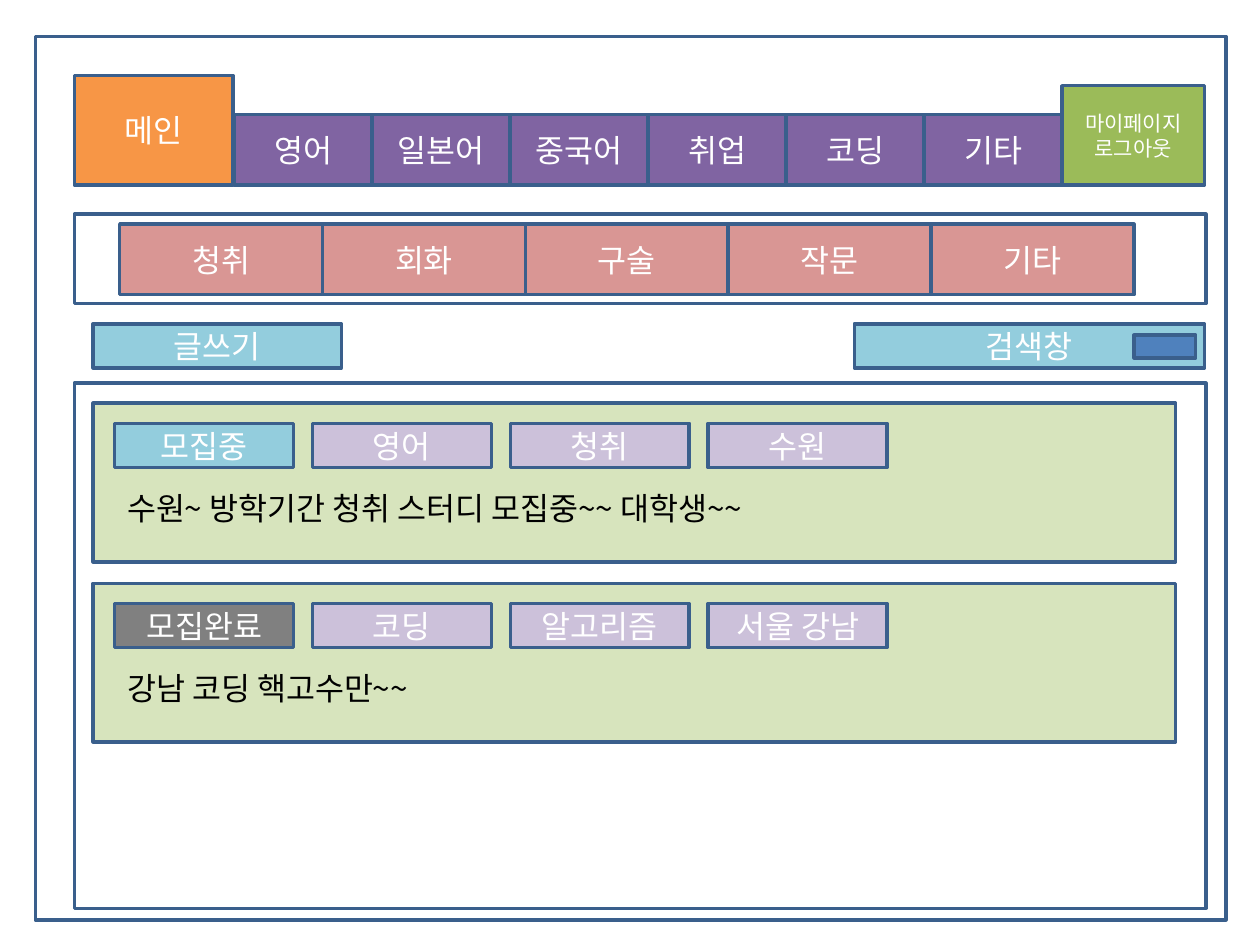
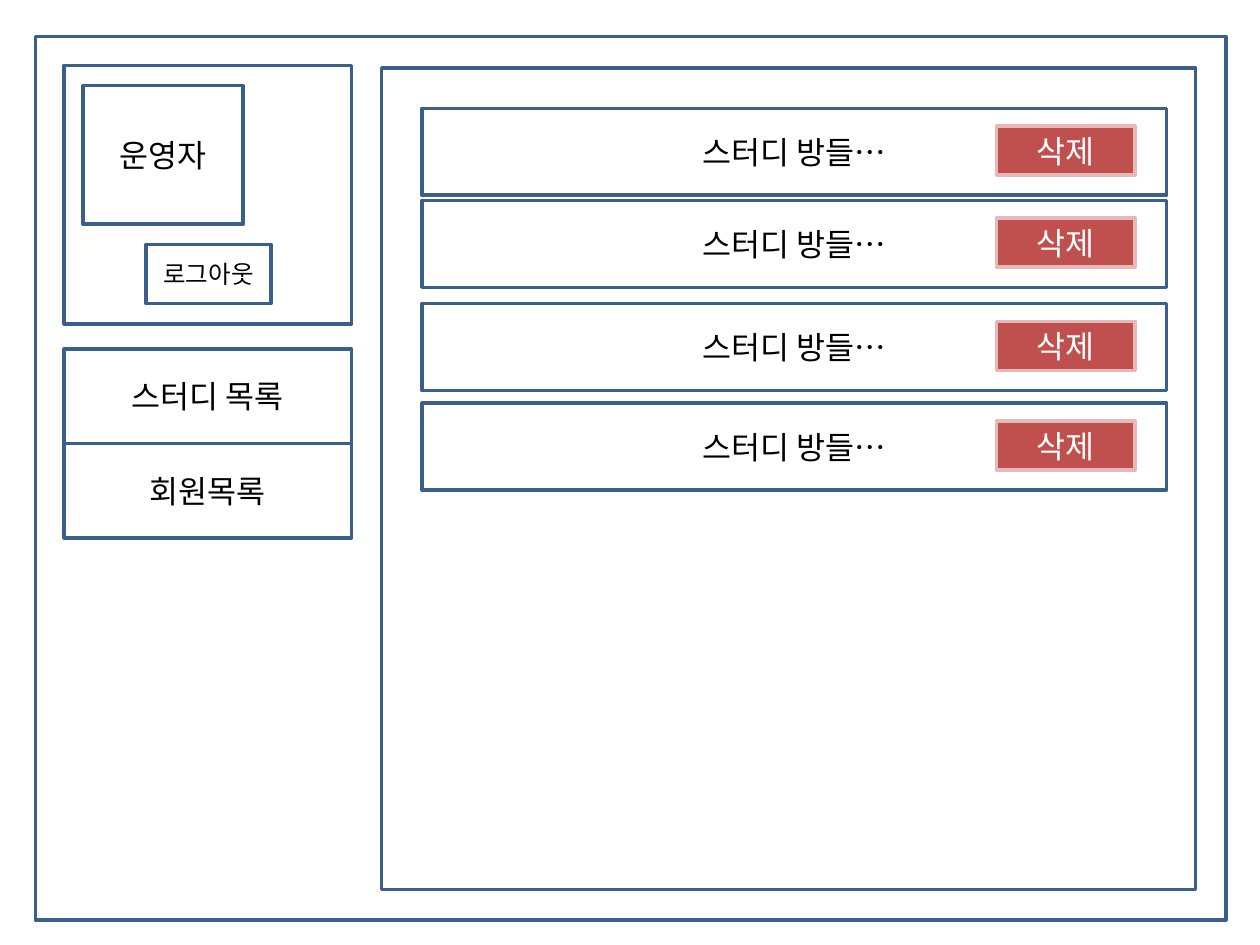
"""Builds two wireframes of a study-group site: the board and the admin page."""
from lxml import etree
from pptx import Presentation
from pptx.dml.color import RGBColor
from pptx.enum.shapes import MSO_SHAPE
from pptx.enum.text import MSO_ANCHOR, MSO_AUTO_SIZE, PP_ALIGN
from pptx.oxml.ns import qn
from pptx.util import Inches, Pt

RECT = MSO_SHAPE.RECTANGLE
MIDDLE, CENTER = MSO_ANCHOR.MIDDLE, PP_ALIGN.CENTER
GROW = MSO_AUTO_SIZE.SHAPE_TO_FIT_TEXT
FONT = "Noto Sans CJK KR"

WHITE = RGBColor(0xFF, 0xFF, 0xFF)
BLACK = RGBColor(0x00, 0x00, 0x00)
NAVY = RGBColor(0x3A, 0x5F, 0x8C)
BLUE = RGBColor(0x4F, 0x81, 0xBD)
ORANGE = RGBColor(0xF7, 0x96, 0x46)
PURPLE = RGBColor(0x80, 0x64, 0xA2)
LILAC = RGBColor(0xCC, 0xC1, 0xDA)
GREEN = RGBColor(0x9B, 0xBB, 0x59)
PALE_GREEN = RGBColor(0xD7, 0xE4, 0xBD)
SALMON = RGBColor(0xD9, 0x96, 0x94)
AQUA = RGBColor(0x93, 0xCD, 0xDD)
GRAY = RGBColor(0x80, 0x80, 0x80)
RED = RGBColor(0xC0, 0x50, 0x4D)
PINK = RGBColor(0xE6, 0xB9, 0xB8)

SUBJECTS = ["영어", "일본어", "중국어", "취업", "코딩", "기타"]
TOPICS = ["청취", "회화", "구술", "작문", "기타"]
POSTS = [
    (["모집중", "영어", "청취", "수원"], AQUA,
     "수원~ 방학기간 청취 스터디 모집중~~ 대학생~~"),
    (["모집완료", "코딩", "알고리즘", "서울 강남"], GRAY,
     "강남 코딩 핵고수만~~"),
]
ADMIN_MENU = ["스터디 목록", "회원목록"]
ROOM, DELETE = "스터디 방들…", "삭제"
ROOM_TOPS = [0.86, 1.59, 2.41, 3.2]

FRAME = (0.28, 0.29, 9.45, 7.01)
LEFT, WIDTH = 0.59, 8.98
NAV_X, NAV_END = 1.86, 8.43
NAV_STEP = (NAV_END - NAV_X) / len(SUBJECTS)
TOPIC_X, TOPIC_W = 0.95, 1.61
POST_X, POST_Y, POST_STEP = 0.74, 3.2, 1.43
TAG_X, TAG_STEP = 0.91, 1.57
BAR_Y, BAR_H = 2.57, 0.35
SIDE_X, SIDE_W = 0.51, 2.28
MENU_Y, MENU_H = 2.77, 0.75


def write(tf, text, color, size=18, align=None):
    for i, line in enumerate(text.split("\n")):
        p = tf.paragraphs[0] if i == 0 else tf.add_paragraph()
        p.text = line
        p.alignment = align
        p.font.name, p.font.size = FONT, Pt(size)
        p.font.color.rgb = color
        props = p._p.pPr.find(qn("a:defRPr"))
        etree.SubElement(props, qn("a:ea")).set("typeface", FONT)


def box(shapes, at, fill=None, text="", size=18, line=NAVY):
    sp = shapes.add_shape(RECT, *map(Inches, at))
    sp.shadow.inherit = False
    sp.line.color.rgb, sp.line.width = line, Pt(2)
    if fill is None:
        sp.fill.background()
    else:
        sp.fill.solid()
        sp.fill.fore_color.rgb = fill
    if text:
        sp.text_frame.vertical_anchor = MIDDLE
        write(sp.text_frame, text, WHITE if fill else BLACK, size, CENTER)


def note(shapes, at, text):
    tf = shapes.add_textbox(*map(Inches, at)).text_frame
    tf.word_wrap, tf.auto_size = True, GROW
    write(tf, text, BLACK)


def framed_slide(prs):
    s = prs.slides.add_slide(prs.slide_layouts[6])
    box(s.shapes, FRAME)
    return s.shapes


def board(prs):
    shapes = framed_slide(prs)
    box(shapes, (LEFT, 0.6, 1.26, 0.87), ORANGE, "메인")
    for i, name in enumerate(SUBJECTS):
        box(shapes, (NAV_X + i * NAV_STEP, 0.91, NAV_STEP, 0.56), PURPLE, name)
    box(shapes, (NAV_END, 0.68, 1.13, 0.79), GREEN, "마이페이지\n로그아웃", 12)
    box(shapes, (LEFT, 1.7, WIDTH, 0.71))
    for i, name in enumerate(TOPICS):
        box(shapes, (TOPIC_X + i * TOPIC_W, 1.78, TOPIC_W, 0.56), SALMON, name)
    box(shapes, (LEFT, 3.04, WIDTH, 4.17))
    box(shapes, (POST_X, BAR_Y, 1.97, BAR_H), AQUA, "글쓰기")
    box(shapes, (6.78, BAR_Y, 2.78, BAR_H), AQUA, "검색창")
    box(shapes, (9, 2.66, 0.49, 0.18), BLUE)
    for i, (tags, status, text) in enumerate(POSTS):
        top = POST_Y + i * POST_STEP
        post = shapes.add_group_shape().shapes
        box(post, (POST_X, top, 8.59, 1.26), PALE_GREEN)
        for j, tag in enumerate(tags):
            at = (TAG_X + j * TAG_STEP, top + 0.16, 1.42, BAR_H)
            box(post, at, LILAC if j else status, tag)
        note(post, (TAG_X, top + 0.63, 7.72, 0.4), text)


def admin(prs):
    shapes = framed_slide(prs)
    box(shapes, (SIDE_X, 0.52, SIDE_W, 2.05))
    box(shapes, (3.03, 0.54, 6.46, 6.52))
    box(shapes, (0.66, 0.68, 1.27, 1.1), text="운영자")
    box(shapes, (1.16, 1.94, 0.99, 0.47), text="로그아웃", size=14)
    for i, name in enumerate(ADMIN_MENU):
        box(shapes, (SIDE_X, MENU_Y + i * MENU_H, SIDE_W, MENU_H), text=name)
    for top in ROOM_TOPS:
        box(shapes, (3.35, top, 5.91, 0.69), text=ROOM)
        box(shapes, (7.91, top + 0.14, 1.1, 0.39), RED, DELETE, line=PINK)


prs = Presentation()
prs.slide_width, prs.slide_height = Inches(10), Inches(7.5)
board(prs)
admin(prs)
prs.save("out.pptx")
